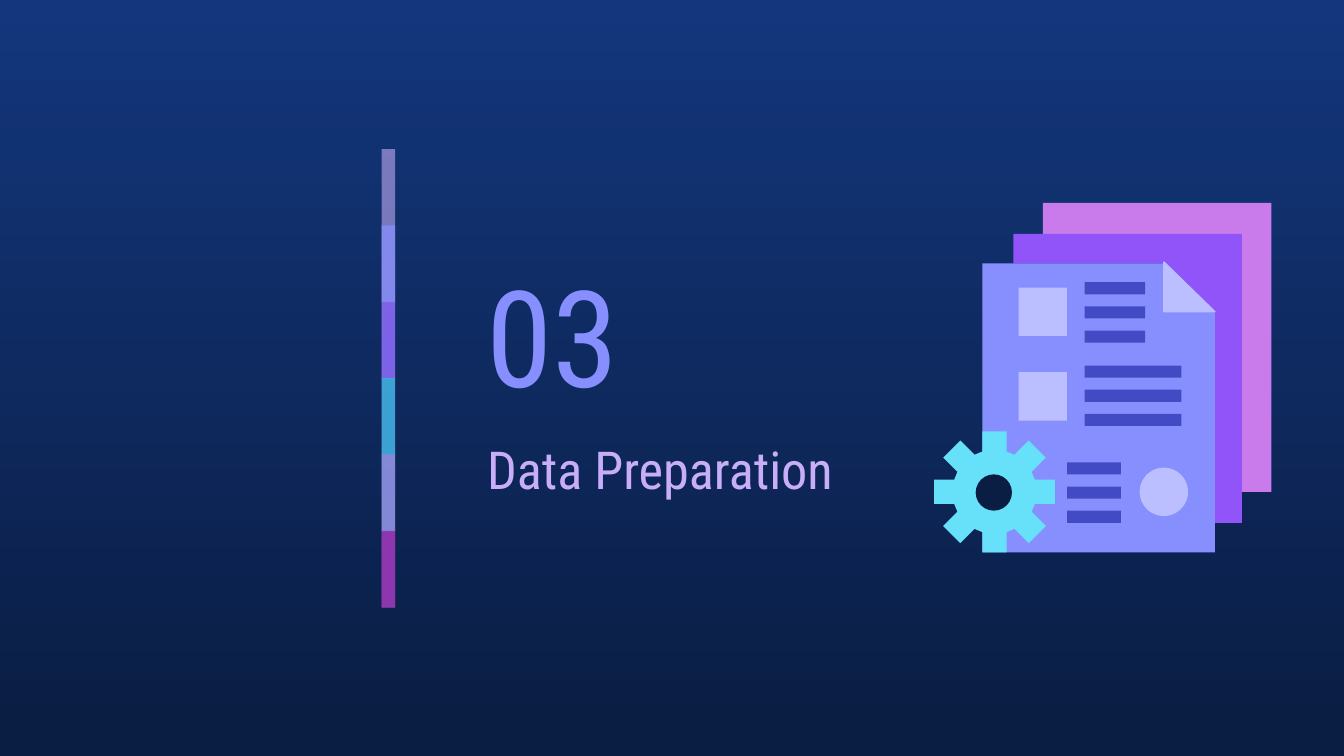
from dataclasses import dataclass
from math import cos, pi, sin

from lxml.etree import SubElement
from pptx import Presentation
from pptx.dml.color import RGBColor
from pptx.enum.shapes import MSO_SHAPE
from pptx.enum.text import MSO_ANCHOR, PP_ALIGN
from pptx.oxml.ns import qn
from pptx.shapes.autoshape import Shape
from pptx.shapes.shapetree import GroupShapes
from pptx.slide import Slide
from pptx.util import Inches, Pt

FONT = "Roboto Condensed"
COLORS = {
    "sky": "13367C",
    "night": "0A1D42",
    "lavender": "C8AEF8",
    "periwinkle": "878FFF",
    "violet": "9154F8",
    "teal": "35C2DF",
    "orchid": "CA7BEB",
    "magenta": "972CB4",
    "cyan": "67E0F9",
    "pale": "BBBFFF",
    "indigo": "424BC4",
}
Point = tuple[float, float]


@dataclass(frozen=True)
class Band:
    color: str
    opacity: int
    height: float = 1.14


@dataclass(frozen=True)
class Heading:
    text: str
    box: tuple[float, float, float, float]
    size: int
    color: str
    align: PP_ALIGN


@dataclass(frozen=True)
class Page:
    color: str
    outline: list[Point]


@dataclass(frozen=True)
class Paragraph:
    left: float
    top: float
    width: float


BANDS = [
    Band("lavender", 58),
    Band("periwinkle", 73),
    Band("violet", 53),
    Band("teal", 75),
    Band("orchid", 56),
    Band("magenta", 74, 0.57),
]
HEADINGS = [
    Heading("03", (3.52, 1.81, 1.75, 1.35), 72, "periwinkle", PP_ALIGN.LEFT),
    Heading("Data Preparation ", (3.52, 3.15, 2.87, 0.67), 28, "lavender", PP_ALIGN.CENTER),
]
PAGES = [
    Page("orchid", [(7.76, 1.51), (7.76, 1.74), (9.24, 1.74), (9.24, 3.66), (9.46, 3.66), (9.46, 1.51)]),
    Page("violet", [(7.54, 1.74), (7.54, 1.96), (8.66, 1.96), (9.01, 2.32), (9.01, 3.89), (9.24, 3.89), (9.24, 1.74)]),
    Page("periwinkle", [(7.31, 1.96), (7.31, 4.11), (9.04, 4.11), (9.04, 2.33), (8.68, 1.96)]),
]
FOLD = [(8.66, 1.95), (8.66, 2.32), (9.04, 2.32)]
PARAGRAPHS = [Paragraph(8.07, 2.1, 0.45), Paragraph(8.07, 2.72, 0.72), Paragraph(7.94, 3.44, 0.4)]
THUMBNAIL_TOPS = [2.14, 2.77]
DIVIDER_TOP = 1.11
LAST_BAND_TOP = 3.95
BAND_PITCH = (LAST_BAND_TOP - DIVIDER_TOP) / (len(BANDS) - 1)
LINE_PITCH = 0.18
GEAR_CENTER = (7.4, 3.66)
TEETH = 8


def rgb(color: str) -> RGBColor:
    return RGBColor.from_string(COLORS[color])


def paint(shape: Shape, color: str) -> Shape:
    shape.shadow.inherit = False
    shape.fill.solid()
    shape.fill.fore_color.rgb = rgb(color)
    shape.line.fill.background()
    return shape


def add_preset(shapes: GroupShapes, preset: MSO_SHAPE, left: float, top: float,
               width: float, height: float, color: str) -> Shape:
    shape = shapes.add_shape(preset, Inches(left), Inches(top), Inches(width), Inches(height))
    return paint(shape, color)


def add_outline(shapes: GroupShapes, points: list[Point], color: str) -> Shape:
    start, *rest = [(Inches(x), Inches(y)) for x, y in points]
    builder = shapes.build_freeform(*start)
    builder.add_line_segments(rest, close=True)
    return paint(builder.convert_to_shape(), color)


def gear_outline() -> list[Point]:
    root, tip, half_width = 0.3, 0.45, 0.09
    tooth = [(root, -half_width), (tip, -half_width), (tip, half_width), (root, half_width)]
    center_x, center_y = GEAR_CENTER
    angles = [2 * pi * index / TEETH for index in range(TEETH)]
    return [
        (center_x + out * cos(angle) - side * sin(angle), center_y + out * sin(angle) + side * cos(angle))
        for angle in angles
        for out, side in tooth
    ]


def paint_background(slide: Slide) -> None:
    fill = slide.background.fill
    fill.gradient()
    fill.gradient_angle = 270
    for stop, color in zip(fill.gradient_stops, ("sky", "night")):
        stop.color.rgb = rgb(color)


def add_divider(slide: Slide) -> None:
    divider = slide.shapes.add_group_shape().shapes
    for index, band in enumerate(BANDS):
        top = DIVIDER_TOP + index * BAND_PITCH
        segment = add_preset(divider, MSO_SHAPE.RECTANGLE, 2.84, top, 0.1, band.height, band.color)
        color_element = segment.fill._xPr.find(f".//{qn('a:srgbClr')}")
        SubElement(color_element, qn("a:alpha"), val=str(band.opacity * 1000))


def add_heading(slide: Slide, heading: Heading) -> None:
    frame = slide.shapes.add_textbox(*map(Inches, heading.box)).text_frame
    frame.word_wrap = True
    frame.vertical_anchor = MSO_ANCHOR.MIDDLE
    frame.margin_left = frame.margin_right = Inches(0.1)
    frame.margin_top = frame.margin_bottom = Inches(0.1)
    paragraph = frame.paragraphs[0]
    paragraph.text = heading.text
    paragraph.alignment = heading.align
    paragraph.font.name = FONT
    paragraph.font.size = Pt(heading.size)
    paragraph.font.color.rgb = rgb(heading.color)


def add_documents(slide: Slide) -> None:
    documents = slide.shapes.add_group_shape().shapes
    for page in PAGES:
        add_outline(documents, page.outline, page.color)
    add_outline(documents, gear_outline(), "cyan")
    add_preset(documents, MSO_SHAPE.OVAL, 7.26, 3.53, 0.27, 0.27, "night")
    for top in THUMBNAIL_TOPS:
        add_preset(documents, MSO_SHAPE.RECTANGLE, 7.58, top, 0.36, 0.36, "pale")
    add_preset(documents, MSO_SHAPE.OVAL, 8.48, 3.48, 0.36, 0.36, "pale")
    for paragraph in PARAGRAPHS:
        for row in range(3):
            top = paragraph.top + row * LINE_PITCH
            add_preset(documents, MSO_SHAPE.RECTANGLE, paragraph.left, top, paragraph.width, 0.09, "indigo")
    fold = add_outline(documents, FOLD, "pale")
    fold.line.color.rgb = rgb("pale")
    fold.line.width = Pt(0.75)


def main() -> None:
    presentation = Presentation()
    presentation.slide_width = Inches(10)
    presentation.slide_height = Inches(10 * 9 / 16)
    slide = presentation.slides.add_slide(presentation.slide_layouts[6])
    paint_background(slide)
    add_divider(slide)
    for heading in HEADINGS:
        add_heading(slide, heading)
    add_documents(slide)
    presentation.save("out.pptx")


if __name__ == "__main__":
    main()
